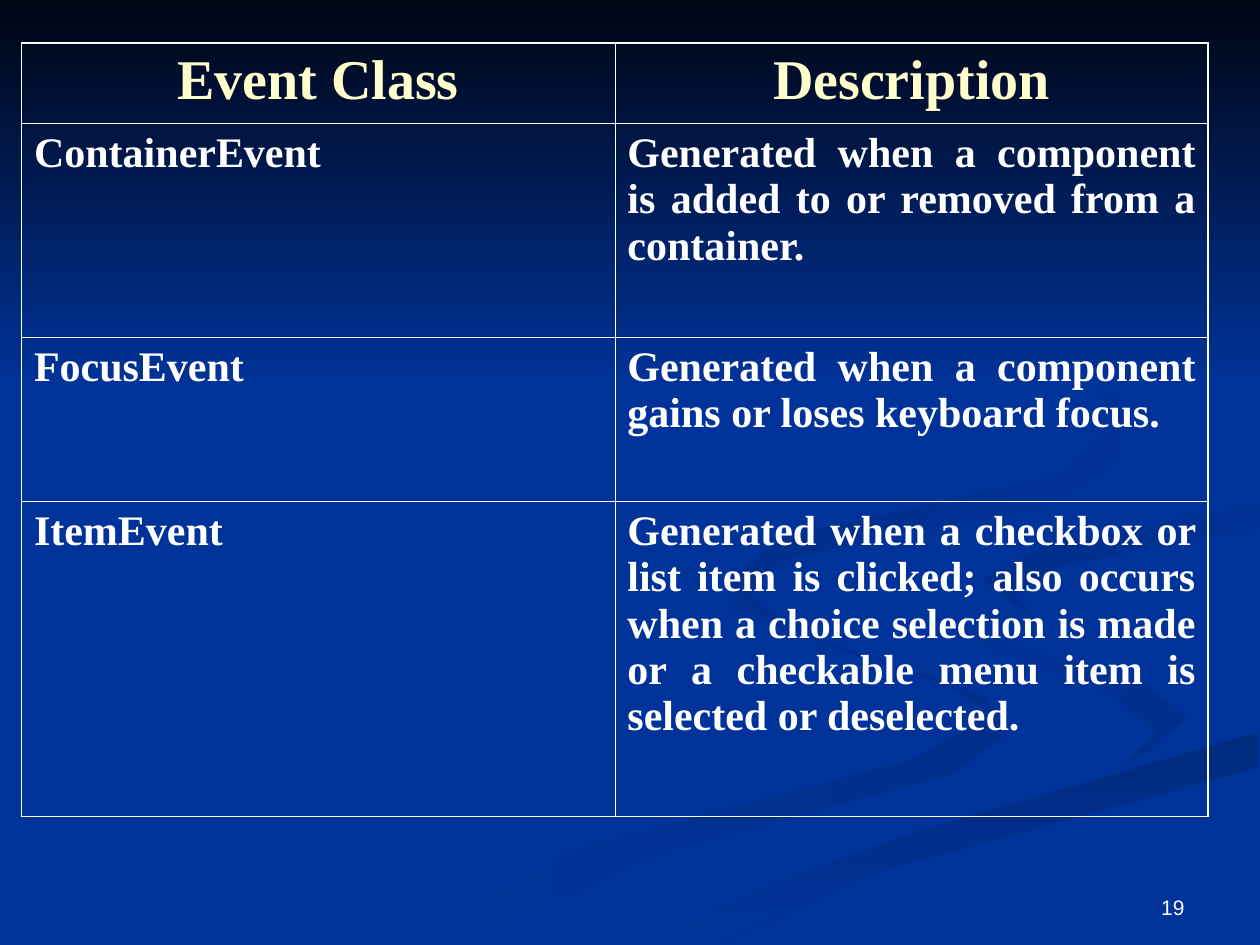
from pptx import Presentation
from pptx.dml.color import RGBColor
from pptx.enum.shapes import MSO_SHAPE
from pptx.enum.text import MSO_ANCHOR, PP_ALIGN
from pptx.oxml import parse_xml
from pptx.oxml.ns import nsdecls
from pptx.util import Inches, Pt

COLORS = {
    "blue": "003399", "night": "000514", "text": "FFFFFF", "head": "FFFFCC",
    "left": "002E8B", "band": "002A7D", "right": "002D86", "curl": "002B82",
}


def write(tf, text, align, font, before=0):
    p = tf.paragraphs[0]
    p.alignment = align
    p.space_before = Pt(before)
    r = p.add_run()
    r.text = text
    for name, value in font.items():
        if name == "color":
            r.font.color.rgb = RGBColor.from_string(COLORS[value])
        else:
            setattr(r.font, name, value)


def shade(sp, start, end, angle):
    sp.shadow.inherit = False
    sp.line.fill.background()
    sp.fill.gradient()
    sp.fill.gradient_angle = (360 - angle) % 360
    for stop, name, position in zip(sp.fill.gradient_stops, (start, end), (0, 1)):
        stop.color.rgb = RGBColor.from_string(COLORS[name])
        stop.position = position


prs = Presentation()
prs.slide_width, prs.slide_height = Inches(10), Inches(7.5)
s = prs.slides.add_slide(prs.slide_layouts[6])
s.background.fill.solid()
s.background.fill.fore_color.rgb = RGBColor.from_string(COLORS["blue"])

# Background ribbons: start colour, end colour, gradient angle, outline
ribbons = [
    ("blue", "left", 0, [
        (7.8, 5.53), (6.42, 5.07), (5.75, 4.59), (5.81, 4.83), (7.52, 5.43),
        (7.86, 5.66), (7.27, 6.02), (4.58, 6.74), (3, 7.49), (3.61, 7.49),
        (5.32, 6.74), (7.56, 6.14), (8, 5.81)]),
    ("blue", "left", 45, [
        (9.43, 5.7), (9.05, 5.4), (7.58, 4.98), (7.24, 4.64), (7.46, 5),
        (8.8, 5.49), (9.18, 5.81), (8.94, 6.05), (9.32, 5.89)]),
    ("band", "blue", 90, [
        (5.03, 7.49), (5.71, 7.49), (6.95, 6.92), (9.98, 6.09), (9.98, 5.81),
        (7.64, 6.47), (5.69, 7.19)]),
    ("blue", "blue", 0, [
        (7.25, 4.64), (7.75, 5.03), (9.05, 5.4), (9.43, 5.7), (9.02, 6.03),
        (6.63, 6.68), (4.77, 7.49), (5.03, 7.49), (6.96, 6.69), (9.99, 5.81),
        (9.99, 5.38), (8.32, 4.98), (7.82, 4.6), (8.35, 4.3), (9.99, 4.02),
        (9.99, 3.87), (7.88, 4.22)]),
    ("right", "blue", 45, [
        (7.81, 4.6), (8.26, 4.96), (8.05, 4.72), (8.43, 4.48), (9.98, 4.2),
        (9.98, 4.02), (8.35, 4.3)]),
    ("curl", "blue", 45, [
        (6.83, 4.3), (8.25, 4.02), (8.83, 3.7), (8.9, 3.24), (8.43, 2.75),
        (7.62, 2.33), (8.62, 2.92), (8.89, 3.35), (8.42, 3.78), (6.25, 4.26),
        (5.77, 4.62), (6.22, 5), (5.93, 4.7), (6.24, 4.44)]),
]
for start, end, angle, outline in ribbons:
    points = [(Inches(x), Inches(y)) for x, y in outline]
    builder = s.shapes.build_freeform(*points[0])
    builder.add_line_segments(points[1:], close=True)
    shade(builder.convert_to_shape(), start, end, angle)

# Dark band at the top
sky = s.shapes.add_shape(MSO_SHAPE.RECTANGLE, 0, 0, prs.slide_width, Inches(3.08))
shade(sky, "night", "blue", 90)

# Slide number
tf = s.shapes.add_textbox(Inches(7.17), Inches(6.83), Inches(2.33), Inches(0.52)).text_frame
tf.word_wrap = True
tf.vertical_anchor = MSO_ANCHOR.BOTTOM
write(tf, "19", PP_ALIGN.RIGHT, {"name": "Arial", "size": Pt(12), "color": "text"})

# Event table
rows = [
    ("Event Class", "Description"),
    ("ContainerEvent", "Generated when a component is added to or removed from a container."),
    ("FocusEvent", "Generated when a component gains or loses keyboard focus."),
    ("ItemEvent", "Generated when a checkbox or list item is clicked; also occurs when a "
                  "choice selection is made or a checkable menu item is selected or deselected."),
]
heights = [0.64, 1.7, 1.3, 2.5]
table = s.shapes.add_table(len(rows), 2, Inches(0.17), Inches(0.34),
                           Inches(9.42), Inches(sum(heights))).table
table.first_row = table.horz_banding = False
head_font = {"name": "Times New Roman", "size": Pt(32), "bold": True, "color": "head"}
body_font = {**head_font, "size": Pt(24), "color": "text"}

for i, row in enumerate(rows):
    table.rows[i].height = Inches(heights[i])
    for j, text in enumerate(row):
        cell = table.cell(i, j)
        # Outer borders are thicker than inner ones
        outer = {"L": j == 0, "R": j == 1, "T": i == 0, "B": i == len(rows) - 1}
        tcPr = cell._tc.get_or_add_tcPr()
        for side, thick in outer.items():
            width = Pt(1.08 if thick else 0.45)
            tcPr.append(parse_xml(
                f'<a:ln{side} {nsdecls("a")} w="{width}"><a:solidFill>'
                f'<a:srgbClr val="{COLORS["text"]}"/></a:solidFill></a:ln{side}>'))
        cell.fill.background()
        if i == 0:
            write(cell.text_frame, text, PP_ALIGN.CENTER, head_font, 8)
        else:
            align = PP_ALIGN.JUSTIFY if j else PP_ALIGN.LEFT
            write(cell.text_frame, text, align, body_font, 6)

prs.save("out.pptx")
